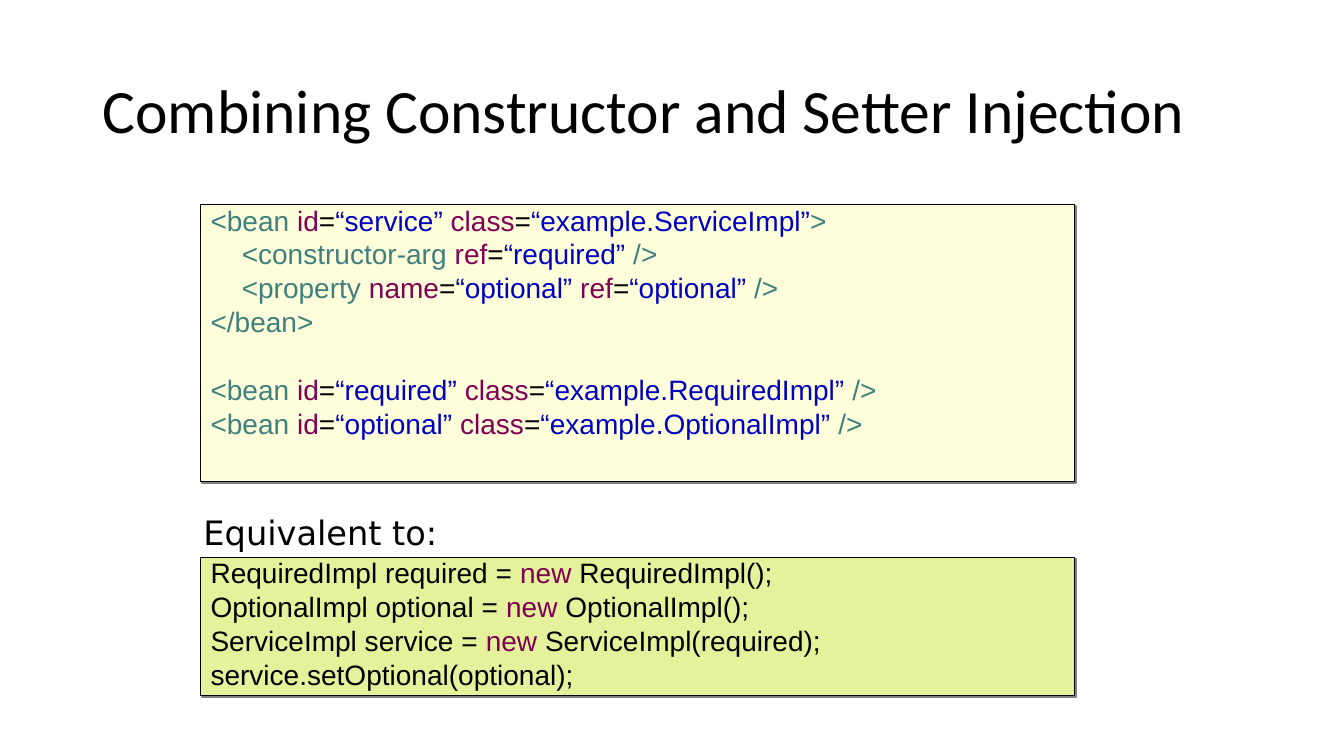
from lxml import etree
from pptx import Presentation
from pptx import util as u
from pptx.dml.color import RGBColor
from pptx.enum import shapes, text
from pptx.oxml.ns import qn

BLACK = RGBColor(0, 0, 0)
TAG = RGBColor(0x3F, 0x7F, 0x7F)
KEYWORD = RGBColor(0x7F, 0x00, 0x55)
VALUE = RGBColor(0x00, 0x00, 0xC0)
CREAM = RGBColor(0xFE, 0xFF, 0xDA)
LIME = RGBColor(0xE6, 0xF1, 0x9B)

# Each XML line: indent level, blank lines above, tag, attributes, closing
XML_LINES = [
    (0, 0, "<bean ", [("id", "service"), ("class", "example.ServiceImpl")], ">"),
    (1, 0, "<constructor-arg ", [("ref", "required")], " />"),
    (1, 0, "<property ", [("name", "optional"), ("ref", "optional")], " />"),
    (0, 0, "</bean>", [], ""),
    (0, 1, "<bean ", [("id", "required"), ("class", "example.RequiredImpl")], " />"),
    (0, 0, "<bean ", [("id", "optional"), ("class", "example.OptionalImpl")], " />"),
]
JAVA_LINES = [
    "RequiredImpl required = new RequiredImpl();",
    "OptionalImpl optional = new OptionalImpl();",
    "ServiceImpl service = new ServiceImpl(required);",
    "service.setOptional(optional);",
]

CODE_LEFT, CODE_WIDTH = 1.99, 8.67
CODE_SIZE, CODE_GAP, CODE_PITCH = 20, 5, 24.15
INDENT = 0.31


def xml_runs(tag, attributes, closing):
    """Split one XML line into coloured runs."""
    runs = [(tag, TAG)]
    for index, (name, value) in enumerate(attributes):
        runs += [(" " * (index > 0) + name, KEYWORD), ("=", BLACK),
                 (f"\u201c{value}\u201d", VALUE)]
    return runs + [(closing, TAG)] if closing else runs


def java_runs(line):
    """Split one Java line into runs, with the keyword new coloured."""
    before, keyword, after = line.partition("new")
    return [(part, color) for part, color in
            ((before, BLACK), (keyword, KEYWORD), (after, BLACK)) if part]


def write(frame, runs, font="Arial", size=CODE_SIZE, spacing=None, before=0, level=0):
    """Write coloured runs as the next paragraph of a text frame."""
    paragraph = frame.paragraphs[0]
    if paragraph.runs:
        paragraph = frame.add_paragraph()
    paragraph.alignment = text.PP_ALIGN.LEFT
    paragraph.space_before = u.Pt(before)
    if spacing:
        paragraph.line_spacing = spacing
    if level:
        paragraph._p.get_or_add_pPr().set("marL", str(u.Inches(level * INDENT)))
    for content, color in runs:
        run = paragraph.add_run()
        run.text = content
        run.font.name, run.font.size = font, u.Pt(size)
        run.font.color.rgb = color


def add_outline(slide, box):
    """Add a four-cornered freeform."""
    left, top, width, height = map(u.Inches, box)
    right, bottom = left + width, top + height
    builder = slide.shapes.build_freeform(left, top)
    builder.add_line_segments([(right, top), (right, bottom), (left, bottom)])
    return builder.convert_to_shape()


def set_frame(shape, anchor=text.MSO_ANCHOR.TOP):
    """Wrap and anchor the text of a shape, and return its frame."""
    frame = shape.text_frame
    frame.word_wrap, frame.vertical_anchor = True, anchor
    return frame


def fill_code(panel, lines, fill):
    """Style a shadowed panel; lines hold runs, indent level, blank lines above."""
    panel.fill.solid()
    panel.fill.fore_color.rgb = fill
    panel.line.color.rgb = BLACK
    panel.line.width = u.Pt(1)
    panel.shadow.inherit = False
    effects = panel._element.spPr.find(qn("a:effectLst"))
    shadow = etree.SubElement(effects, qn("a:outerShdw"), dist=str(u.Pt(1.4)),
                              dir=str(45 * 60000), algn="ctr", rotWithShape="0")
    etree.SubElement(shadow, qn("a:srgbClr"), val="808080")
    frame = set_frame(panel)
    for runs, level, blanks in lines:
        write(frame, runs, spacing=0.8, level=level,
              before=CODE_GAP + blanks * CODE_PITCH)


presentation = Presentation()
presentation.slide_width, presentation.slide_height = u.Inches(13.33), u.Inches(7.5)
slide = presentation.slides.add_slide(presentation.slide_layouts[6])

title = slide.shapes.add_textbox(*map(u.Inches, (0.92, 0.4, 11.5, 1.45)))
write(set_frame(title, text.MSO_ANCHOR.MIDDLE),
      [("Combining Constructor and Setter Injection", BLACK)],
      font="Calibri", size=44, spacing=0.9)

xml_panel = slide.shapes.add_shape(
    shapes.MSO_SHAPE.RECTANGLE, *map(u.Inches, (CODE_LEFT, 2.03, CODE_WIDTH, 2.75)))
fill_code(xml_panel, [(xml_runs(*parts), level, blanks)
                      for level, blanks, *parts in XML_LINES], CREAM)

java_panel = add_outline(slide, (CODE_LEFT, 5.53, CODE_WIDTH, 1.37))
fill_code(java_panel, [(java_runs(line), 0, 0) for line in JAVA_LINES], LIME)

label = add_outline(slide, (1.92, 5.03, 5.94, 0.51))
label.fill.background()
label.line.fill.background()
label.shadow.inherit = False
write(set_frame(label), [("Equivalent to:", BLACK)], font="DejaVu Sans", size=24)

presentation.save("out.pptx")
